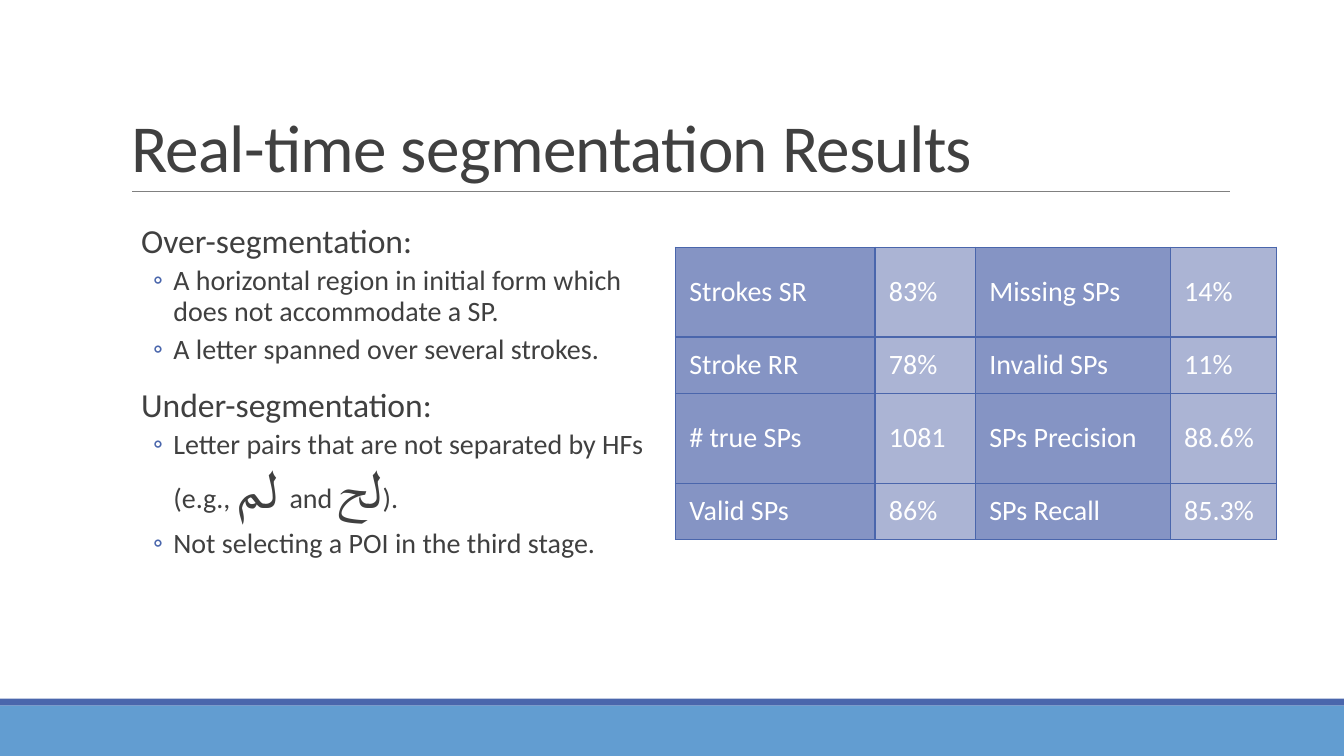
from dataclasses import dataclass

from lxml import etree
from pptx import Presentation
from pptx.dml.color import RGBColor
from pptx.enum.shapes import MSO_CONNECTOR, MSO_SHAPE
from pptx.enum.text import MSO_ANCHOR, MSO_AUTO_SIZE, PP_ALIGN
from pptx.oxml.ns import qn
from pptx.util import Pt


@dataclass(frozen=True)
class Theme:
    font: str = "Calibri"
    arabic_font: str = "Arial"
    ink: str = "404040"
    white: str = "FFFFFF"
    rule: str = "808080"
    accent: str = "4A66AC"
    footer: str = "629DD1"
    label_fill: str = "8594C4"
    value_fill: str = "ABB4D4"
    title_size: int = 48
    heading_size: int = 24
    text_size: int = 20
    gap_size: int = 28
    arabic_size: int = 40


THEME = Theme()

# Each body paragraph: level and its runs (text, size, font)
HEADING, POINT = 0, 1
BODY = [
    (HEADING, ["Over-segmentation:"]),
    (POINT, ["A horizontal region in initial form which does not accommodate a SP."]),
    (POINT, ["A letter spanned over several strokes."]),
    (HEADING, ["Under-segmentation:"]),
    (POINT, ["Letter pairs that are not separated by HFs (e.g., ",
             ("لم", THEME.arabic_size, THEME.arabic_font),
             (" ", THEME.gap_size, THEME.font), "and ",
             ("لح", THEME.arabic_size, THEME.arabic_font), ")."]),
    (POINT, ["Not selecting a POI in the third stage."]),
]
RESULTS = [
    ("Strokes SR", "83%", "Missing SPs", "14%"),
    ("Stroke RR", "78%", "Invalid SPs", "11%"),
    ("# true SPs", "1081", "SPs Precision", "88.6%"),
    ("Valid SPs", "86%", "SPs Recall", "85.3%"),
]


def rgb(value):
    return RGBColor.from_string(value)


def place(shape, box):
    shape.left, shape.top, shape.width, shape.height = map(Pt, box)


def add_run(paragraph, text, size, color, font=THEME.font):
    run = paragraph.add_run()
    run.text = text
    run.font.size, run.font.name = Pt(size), font
    run.font.color.rgb = rgb(color)
    if font == THEME.arabic_font:
        etree.SubElement(run.font._element, qn("a:cs"), typeface=font)
    return run


def set_frame(frame, anchor, side):
    frame.word_wrap, frame.auto_size = True, MSO_AUTO_SIZE.NONE
    frame.vertical_anchor = anchor
    frame.margin_left = frame.margin_right = Pt(side)
    frame.margin_top = frame.margin_bottom = Pt(3.6)


def add_footer(slide, box):
    left, top, width, height = box
    stripe = 5
    bands = [(top, stripe, THEME.accent),
             (top + stripe, height - stripe, THEME.footer)]
    for y, band_height, color in bands:
        band = slide.shapes.add_shape(MSO_SHAPE.RECTANGLE, Pt(left), Pt(y),
                                      Pt(width), Pt(band_height))
        band.shadow.inherit = False
        band.fill.solid()
        band.fill.fore_color.rgb = rgb(color)
        band.line.fill.background()


def add_title(slide, box, text):
    title = slide.shapes.title
    place(title, box)
    set_frame(title.text_frame, MSO_ANCHOR.BOTTOM, 7.2)
    paragraph = title.text_frame.paragraphs[0]
    paragraph.alignment, paragraph.line_spacing = PP_ALIGN.LEFT, 0.85
    run = add_run(paragraph, text, THEME.title_size, THEME.ink)
    run.font._element.set("spc", "-50")

    # Rule under the title
    left, top, width, height = box
    y = Pt(top + height)
    rule = slide.shapes.add_connector(MSO_CONNECTOR.STRAIGHT, Pt(left + 8), y,
                                      Pt(left + width), y)
    rule.line.color.rgb, rule.line.width = rgb(THEME.rule), Pt(0.5)
    etree.SubElement(rule._element.spPr, qn("a:effectLst"))


def set_bullet(paragraph, level):
    props = paragraph._p.get_or_add_pPr()
    margin, indent = (7.2, 0) if level == HEADING else (30.24, -14.4)
    props.set("marL", str(Pt(margin)))
    props.set("indent", str(Pt(indent)))
    if level == HEADING:
        etree.SubElement(props, qn("a:buNone"))
        return
    color = etree.SubElement(props, qn("a:buClr"))
    etree.SubElement(color, qn("a:srgbClr"), val=THEME.accent)
    etree.SubElement(props, qn("a:buFont"), typeface=THEME.font)
    etree.SubElement(props, qn("a:buChar"), char="◦")


def add_body(slide, box, items):
    body = slide.placeholders[1]
    place(body, box)
    frame = body.text_frame
    set_frame(frame, MSO_ANCHOR.TOP, 0)
    for index, (level, parts) in enumerate(items):
        paragraph = frame.add_paragraph() if index else frame.paragraphs[0]
        paragraph.level, paragraph.line_spacing = level, 0.9
        before, after = (12, 2) if level == HEADING else (2, 4)
        paragraph.space_before, paragraph.space_after = Pt(before), Pt(after)
        set_bullet(paragraph, level)
        base = THEME.heading_size if level == HEADING else THEME.text_size
        for part in parts:
            text, size, font = (part, base, THEME.font) if isinstance(part, str) else part
            add_run(paragraph, text, size, THEME.ink, font)


def set_borders(cell):
    props = cell._tc.get_or_add_tcPr()
    for side in ("lnL", "lnR", "lnT", "lnB"):
        line = etree.SubElement(props, qn("a:" + side), w=str(Pt(1)))
        fill = etree.SubElement(line, qn("a:solidFill"))
        etree.SubElement(fill, qn("a:srgbClr"), val=THEME.accent)


def add_results(slide, box, rows):
    left, top, width, height = box
    column_shares = (0.332, 0.167, 0.324, 0.177)
    row_shares = (0.307, 0.193, 0.307, 0.193)
    table = slide.shapes.add_table(len(rows), len(rows[0]), Pt(left), Pt(top),
                                   Pt(width), Pt(height)).table
    table.first_row = table.horz_banding = False
    for column, share in zip(table.columns, column_shares):
        column.width = Pt(width * share)
    for row, share, texts in zip(table.rows, row_shares, rows):
        row.height = Pt(height * share)
        for index, (cell, text) in enumerate(zip(row.cells, texts)):
            set_borders(cell)
            cell.fill.solid()
            cell.fill.fore_color.rgb = rgb(
                THEME.value_fill if index % 2 else THEME.label_fill)
            cell.vertical_anchor = MSO_ANCHOR.MIDDLE
            cell.margin_left = cell.margin_right = Pt(10)
            cell.margin_top = cell.margin_bottom = Pt(3.6)
            add_run(cell.text_frame.paragraphs[0], text, THEME.text_size, THEME.white)


def main():
    deck = Presentation()
    deck.slide_width, deck.slide_height = Pt(960), Pt(540)
    slide = deck.slides.add_slide(deck.slide_layouts[1])
    add_footer(slide, (0, 499, 960, 41))
    add_title(slide, (86.4, 22.3, 792, 114.3), "Real-time segmentation Results")
    add_results(slide, (482.4, 176.5, 429.5, 209), RESULTS)
    add_body(slide, (93.6, 157, 388.8, 316.8), BODY)
    deck.save("out.pptx")


main()
